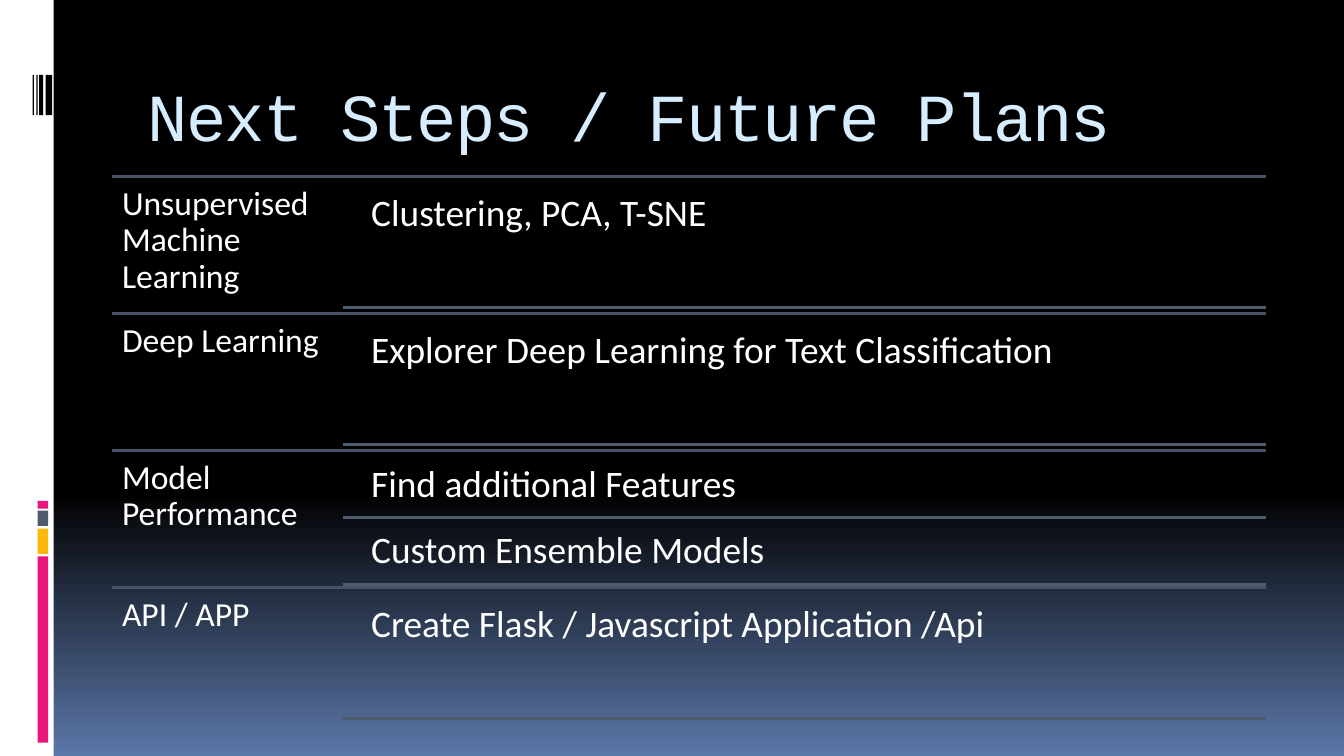
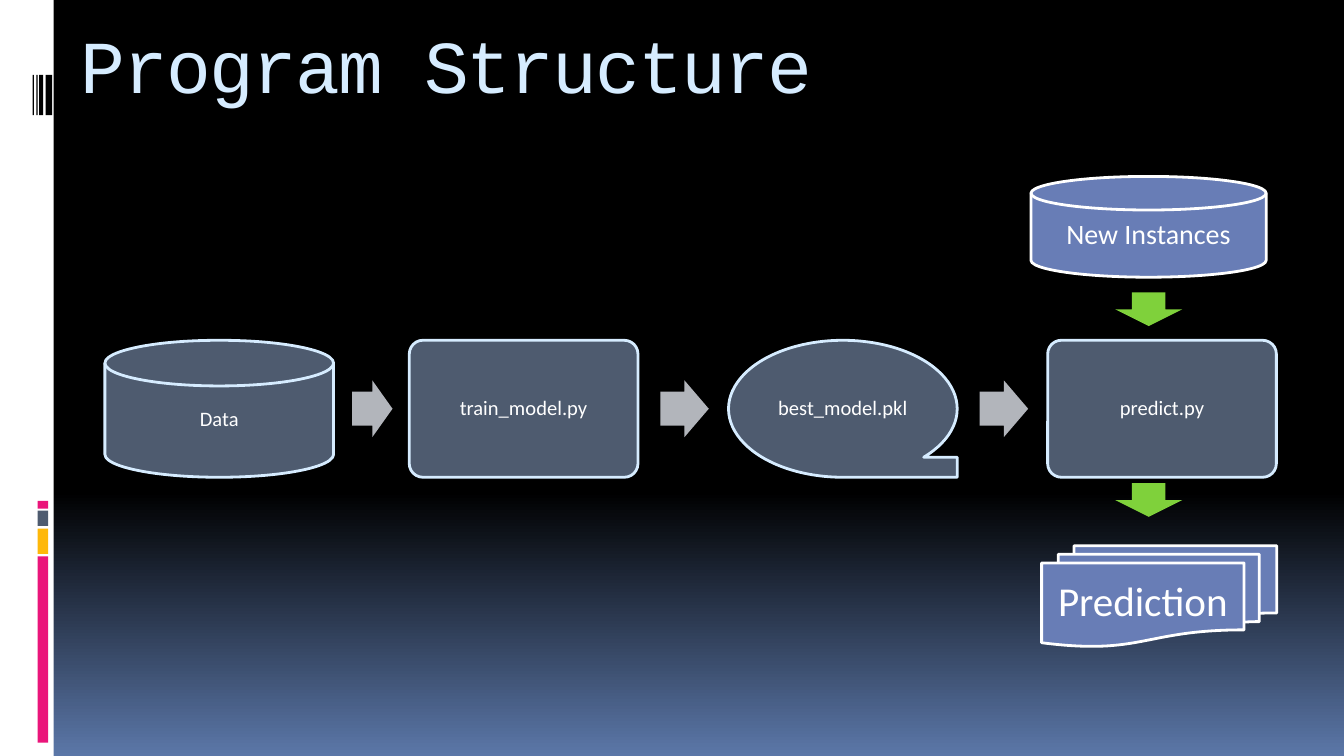
from lxml.etree import SubElement
from pptx import Presentation
from pptx.dml.color import RGBColor
from pptx.enum.shapes import MSO_CONNECTOR, MSO_SHAPE as Preset
from pptx.enum.text import MSO_ANCHOR as Anchor, MSO_AUTO_SIZE, PP_ALIGN as Align
from pptx.oxml.ns import qn
from pptx.util import Pt

WHITE, BLACK, PINK, AMBER = "FFFFFF", "000000", "EA157A", "FEB80A"
SLATE, DARK_SLATE, ICE, BLUE = "4E5B6F", "475365", "D6ECFF", "687DB6"
GREY, GREEN, HORIZON = "B2B5BB", "7FD13B", "5B77A8"
colour = RGBColor.from_string


def add_block(page, preset, left, top, width, height, fill, outline=None):
    shape = page.shapes.add_shape(preset, Pt(left), Pt(top), Pt(width), Pt(height))
    shape.shadow.inherit = False
    shape.fill.solid()
    shape.fill.fore_color.rgb = colour(fill)
    if outline:
        shape.line.color.rgb = colour(outline)
        shape.line.width = Pt(1.5)
    else:
        shape.line.fill.background()
    return shape


def write(shape, text, size, inset, align=Align.LEFT, anchor=Anchor.TOP):
    """Put one white paragraph in the shape, with the same inset on all sides."""
    frame = shape.text_frame
    frame.text = text
    frame.word_wrap = True
    frame.vertical_anchor = anchor
    frame.margin_left = frame.margin_right = Pt(inset)
    frame.margin_top = frame.margin_bottom = Pt(inset)
    para = frame.paragraphs[0]
    para.alignment = align
    para.line_spacing = 0.9
    para.space_after = Pt(size * 0.35)
    font = para.runs[0].font
    font.name, font.size, font.color.rgb = "Calibri", Pt(size), colour(WHITE)


deck = Presentation()
deck.slide_width, deck.slide_height = Pt(720), Pt(405)
layout = deck.slide_layouts.get_by_name("Title Only")

# Background and side band, shared through the master and the layout
sky = deck.slide_master.background.fill
sky.gradient()
sky.gradient_angle = 270
for stop, (position, shade) in zip(sky.gradient_stops, [(0.65, BLACK), (1, HORIZON)]):
    stop.position = position
    stop.color.rgb = colour(shade)

plans = deck.slides.add_slide(layout)
structure = deck.slides.add_slide(layout)
band = [
    (0, 0, 28.8, 405, WHITE),
    (20.2, 298.1, 5.6, 99.8, PINK),
    (20.2, 283.2, 5.6, 13.6, AMBER),
    (20.2, 273.6, 5.6, 8.2, SLATE),
    (20.2, 268.4, 5.6, 4.2, PINK),
    (24.4, 40.2, 3.6, 21.6, BLACK),
    (21, 40.2, 2.2, 21.6, BLACK),
    (19.5, 40.2, 0.7, 21.6, BLACK),
    (17.5, 40.2, 0.7, 21.6, BLACK),
]
for left, top, width, height, fill in band:
    piece = add_block(plans, Preset.RECTANGLE, left, top, width, height, fill)
    layout.shapes.element.append(piece.element)

# Titles
for page, text, size, left, top, width, height in [
    (plans, "Next Steps / Future Plans", 36, 72, 30, 612, 54),
    (structure, "Program Structure", 40, 36, 0, 648, 72),
]:
    title = page.shapes.title
    title.left, title.top, title.width, title.height = map(Pt, (left, top, width, height))
    frame = title.text_frame
    frame.text = text
    frame.auto_size = MSO_AUTO_SIZE.NONE
    frame.vertical_anchor = Anchor.TOP
    frame.margin_top = Pt(10)
    para = frame.paragraphs[0]
    para.alignment = Align.LEFT
    font = para.runs[0].font
    font.name, font.size, font.color.rgb = "Courier New", Pt(size), colour(ICE)
    for properties in title.element.iter(qn("a:rPr")):
        properties.set("spc", "-100")

# Plans: each row has a topic and its steps, separated by rules
LEFT, RIGHT, STEP_LEFT = 60, 678, 183.6
ROW_TOP, ROW_HEIGHT = 94.5, 73.4
rows = [
    ("Unsupervised Machine Learning", ["Clustering, PCA, T-SNE"]),
    ("Deep Learning", ["Explorer Deep Learning for Text Classification"]),
    ("Model Performance", ["Find additional Features", "Custom Ensemble Models"]),
    ("API / APP", ["Create Flask / Javascript Application /Api"]),
]
for index, (topic, steps) in enumerate(rows):
    row_top = ROW_TOP + index * ROW_HEIGHT
    rules = [(LEFT, row_top, DARK_SLATE)]
    box = plans.shapes.add_textbox(
        Pt(LEFT), Pt(row_top), Pt(STEP_LEFT - LEFT), Pt(ROW_HEIGHT))
    write(box, topic, 18, 5.4)

    # The gap around a step is a twentieth of its height
    step_height = ROW_HEIGHT / (len(steps) * 1.05 + 0.05)
    gap = step_height / 20
    for number, step in enumerate(steps):
        step_top = row_top + gap + number * (step_height + gap)
        box = plans.shapes.add_textbox(
            Pt(192.8), Pt(step_top), Pt(RIGHT - 192.8), Pt(step_height))
        write(box, step, 20, 6)
        rules.append((STEP_LEFT, step_top + step_height, SLATE))

    for start, height, shade in rules:
        rule = plans.shapes.add_connector(
            MSO_CONNECTOR.STRAIGHT, Pt(start), Pt(height), Pt(RIGHT), Pt(height))
        rule.line.color.rgb = colour(shade)
        rule.line.width = Pt(1.5)
        SubElement(rule.element.spPr, qn("a:effectLst"))

# Structure: training pipeline from left to right
stages = [
    (Preset.FLOWCHART_MAGNETIC_DISK, 56.2, "Data"),
    (Preset.ROUNDED_RECTANGLE, 219.3, "train_model.py"),
    (Preset.FLOWCHART_SEQUENTIAL_ACCESS_STORAGE, 390.3, "best_model.pkl"),
    (Preset.ROUNDED_RECTANGLE, 561.3, "predict.py"),
]
for preset, left, text in stages:
    stage = add_block(structure, preset, left, 182.3, 122.5, 73.4, SLATE, ICE)
    if preset == Preset.ROUNDED_RECTANGLE:
        stage.adjustments[0] = 0.1
    write(stage, text, 11, 3.3, Align.CENTER, Anchor.MIDDLE)

for left, width in [(188.7, 21.6), (353.7, 26), (524.8, 26)]:
    arrow = add_block(structure, Preset.RIGHT_ARROW, left, 203.8, width, 30.4, GREY)
    arrow.adjustments[0] = 0.6
    arrow.adjustments[1] = 0.5

# Structure: new instances come in from above, predictions leave below
for preset, left, top, text, size, inset in [
    (Preset.FLOWCHART_MAGNETIC_DISK, 552.3, 94.5, "New Instances", 15, 4.5),
    (Preset.FLOWCHART_MULTIDOCUMENT, 558, 292.4, "Prediction", 22, 6.6),
]:
    store = add_block(structure, preset, left, top, 126, 54, BLUE, WHITE)
    write(store, text, size, inset, Align.CENTER, Anchor.MIDDLE)

for top in (156.7, 258.9):
    add_block(structure, Preset.DOWN_ARROW, 597.4, top, 36, 18, GREEN)

deck.save("out.pptx")
